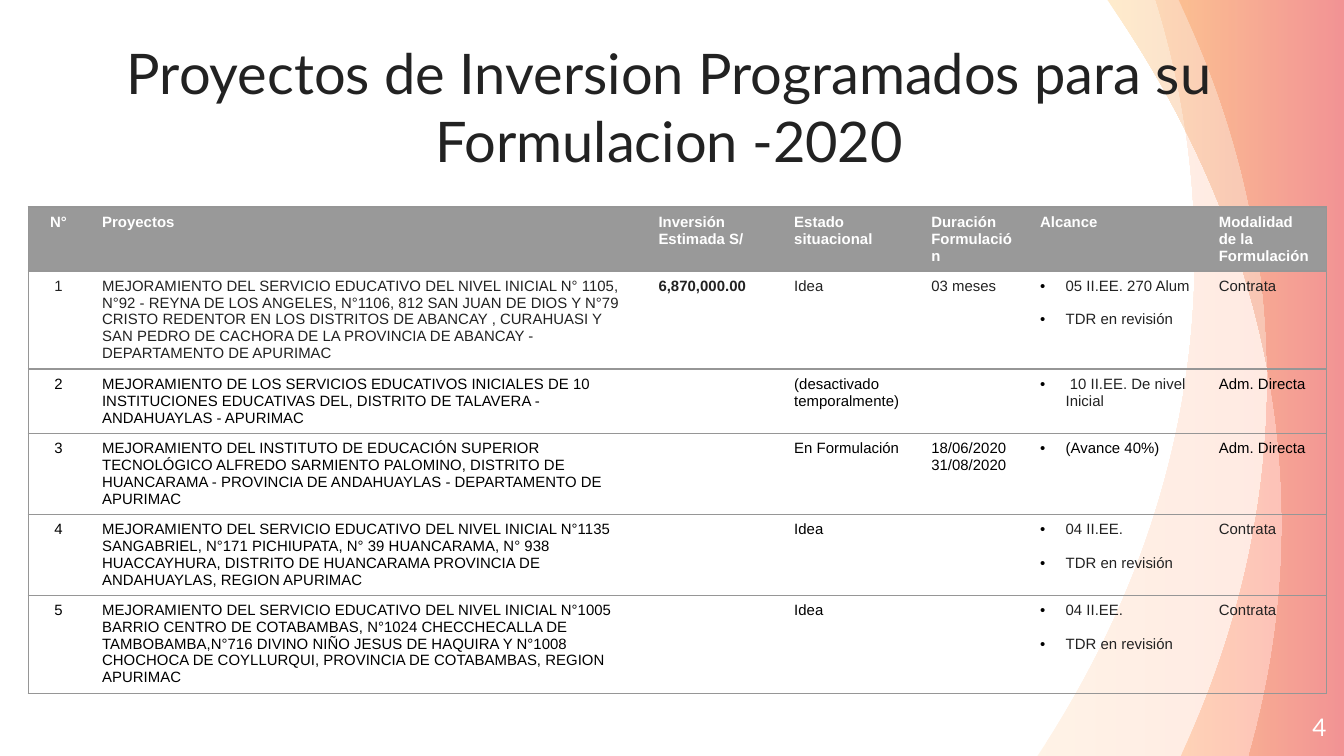
"""Build the slide of investment projects programmed for formulation in 2020."""
from dataclasses import dataclass

from lxml.etree import SubElement
from pptx import Presentation
from pptx.dml.color import RGBColor
from pptx.enum.text import MSO_ANCHOR, MSO_AUTO_SIZE, PP_ALIGN
from pptx.oxml.ns import qn
from pptx.util import Inches, Pt


@dataclass(frozen=True)
class Theme:
    ink: str = "222222"
    black: str = "000000"
    white: str = "FFFFFF"
    header: str = "999999"
    rule: str = "969696"
    display: str = "Lato"
    body: str = "Arial"
    title_size: float = 30
    number_size: float = 13
    table_size: float = 8
    rule_width: float = 0.75
    wave_opacity: int = 20


THEME = Theme()
WIDTH, HEIGHT = 10, 5.625
NO_TABLE_STYLE = "{2D5ABB26-0587-4C30-8999-92F81FD0307C}"

TITLE = "Proyectos de Inversion Programados para su Formulacion -2020"
PAGE_NUMBER = "4"
HEADINGS = ["N°", "Proyectos", "Inversión Estimada S/", "Estado situacional",
            "Duración Formulación", "Alcance", "Modalidad de la Formulación"]
PROJECTS = [
    ["MEJORAMIENTO DEL SERVICIO EDUCATIVO DEL NIVEL INICIAL N° 1105, N°92 - REYNA DE LOS ANGELES, "
     "N°1106, 812 SAN JUAN DE DIOS Y N°79 CRISTO REDENTOR EN LOS DISTRITOS DE ABANCAY , CURAHUASI Y "
     "SAN PEDRO DE CACHORA DE LA PROVINCIA DE ABANCAY - DEPARTAMENTO DE APURIMAC",
     "6,870,000.00", "Idea", "03 meses", "05 II.EE. 270 Alum\nTDR en revisión", "Contrata"],
    ["MEJORAMIENTO DE LOS SERVICIOS EDUCATIVOS INICIALES DE 10 INSTITUCIONES EDUCATIVAS DEL, "
     "DISTRITO DE TALAVERA - ANDAHUAYLAS - APURIMAC",
     "", "(desactivado temporalmente)", "", " 10 II.EE. De nivel Inicial", "Adm. Directa"],
    ["MEJORAMIENTO DEL INSTITUTO DE EDUCACIÓN SUPERIOR TECNOLÓGICO ALFREDO SARMIENTO PALOMINO, "
     "DISTRITO DE HUANCARAMA - PROVINCIA DE ANDAHUAYLAS - DEPARTAMENTO DE APURIMAC",
     "", "En Formulación", "18/06/2020\n31/08/2020", "(Avance 40%)", "Adm. Directa"],
    ["MEJORAMIENTO DEL SERVICIO EDUCATIVO DEL NIVEL INICIAL N°1135 SANGABRIEL, N°171 PICHIUPATA, "
     "N° 39 HUANCARAMA, N° 938 HUACCAYHURA, DISTRITO DE HUANCARAMA PROVINCIA DE ANDAHUAYLAS, "
     "REGION APURIMAC",
     "", "Idea", "", "04 II.EE.\nTDR en revisión", "Contrata"],
    ["MEJORAMIENTO DEL SERVICIO EDUCATIVO DEL NIVEL INICIAL N°1005 BARRIO CENTRO DE COTABAMBAS, "
     "N°1024 CHECCHECALLA DE TAMBOBAMBA,N°716 DIVINO NIÑO JESUS DE HAQUIRA Y N°1008 CHOCHOCA DE "
     "COYLLURQUI, PROVINCIA DE COTABAMBAS, REGION APURIMAC",
     "", "Idea", "", "04 II.EE.\nTDR en revisión", "Contrata"],
]
NUMBER, INVESTMENT, SCOPE, MODE = 0, 2, 5, 6
DARK_CELLS = {1: range(7), 2: [SCOPE], 4: [SCOPE, MODE], 5: [SCOPE, MODE]}
COLUMNS = [0.45, 4.14, 1.01, 1.02, 0.81, 1.33, 0.9]
ROWS = [0.47, 0.73, 0.48, 0.6, 0.6, 0.73]

WAVES = [
    {"colours": ("FFC486", "FF866B"),
     "corners": [(8.6, 0), (10, 0), (10, 5.64), (7.71, 5.64)],
     "curves": [[(8.47, 4.5), (8.89, 3.23), (8.89, 1.9)],
                [(8.89, 1.25), (8.79, 0.61), (8.6, 0)]]},
    {"colours": ("FF6A00", "F20122"),
     "corners": [(8.77, 0), (10, 0), (10, 5.64), (8.78, 5.64)],
     "curves": [[(9.2, 4.75), (9.43, 3.8), (9.43, 2.82)],
                [(9.43, 1.84), (9.2, 0.89), (8.77, 0)]]},
    {"colours": ("FF9F00", "CC0000"),
     "corners": [(8.24, 0), (10, 0), (10, 5.64), (9.29, 5.64)],
     "curves": [[(9.45, 5.08), (9.54, 4.5), (9.54, 3.9)],
                [(9.54, 2.51), (9.07, 1.19), (8.24, 0)]]},
]


def colour(code):
    return RGBColor.from_string(code)


def style(paragraph, face, size, code, align=PP_ALIGN.LEFT, bold=False):
    paragraph.alignment = align
    font = paragraph.font
    font.name, font.size, font.bold = face, Pt(size), bold
    font.color.rgb = colour(code)


def place(shape, left, top, width, height):
    shape.left, shape.top = Inches(left), Inches(top)
    shape.width, shape.height = Inches(width), Inches(height)


def set_frame(frame, text, anchor):
    frame.text = text
    frame.word_wrap = True
    frame.auto_size = MSO_AUTO_SIZE.NONE
    frame.vertical_anchor = anchor
    frame.margin_left = frame.margin_right = frame.margin_top = frame.margin_bottom = 0


def bend(wave, first_segment, curve_count):
    segments = list(wave._element.iter(qn("a:lnTo")))[first_segment:]
    for index in range(curve_count):
        first, *others = segments[3 * index:3 * index + 3]
        first.tag = qn("a:cubicBezTo")
        for segment in others:
            first.append(segment[0])
            segment.getparent().remove(segment)


def add_wave(slide, colours, corners, curves):
    points = [(Inches(x), Inches(y)) for x, y in corners + sum(curves, [])]
    builder = slide.shapes.build_freeform(*points[0])
    builder.add_line_segments(points[1:], close=True)
    wave = builder.convert_to_shape()
    curved = [segment for segment in wave._element.iter(qn("a:lnTo"))][len(corners) - 1:]
    for start in range(0, 3 * len(curves), 3):
        first, *others = curved[start:start + 3]
        bezier = first.makeelement(qn("a:cubicBezTo"))
        first.addprevious(bezier)
        for segment in (first, *others):
            bezier.append(segment[0])
            segment.getparent().remove(segment)
    wave.shadow.inherit = False
    wave.line.fill.background()
    wave.fill.gradient()
    wave.fill.gradient_angle = 0
    for stop, position, code in zip(wave.fill.gradient_stops, (0, 1), colours):
        stop.position = position
        stop.color.rgb = colour(code)
    for tint in wave._element.spPr.iter(qn("a:srgbClr")):
        SubElement(tint, qn("a:alpha"), val=str(THEME.wave_opacity * 1000))


def add_bullet(paragraph):
    properties = paragraph._p.get_or_add_pPr()
    properties.set("marL", str(Inches(0.19)))
    properties.set("indent", str(-Inches(0.19)))
    SubElement(SubElement(properties, qn("a:buClr")), qn("a:srgbClr"), val=THEME.black)
    SubElement(properties, qn("a:buFont"), typeface=THEME.body)
    SubElement(properties, qn("a:buChar"), char="•")


def add_borders(cell, sides):
    properties = cell._tc.get_or_add_tcPr()
    for side in sides:
        line = SubElement(properties, qn(f"a:ln{side}"), w=str(Pt(THEME.rule_width)))
        SubElement(SubElement(line, qn("a:solidFill")), qn("a:srgbClr"), val=THEME.rule)


def fill_cell(cell, text, row, column):
    heading = row == 0
    left_side = "L" if column == 0 else ""
    right_side = "R" if column == len(COLUMNS) - 1 else ""
    add_borders(cell, left_side + right_side + "TB")
    if heading:
        cell.fill.solid()
        cell.fill.fore_color.rgb = colour(THEME.header)
        code = THEME.white
    else:
        cell.fill.background()
        code = THEME.ink if column in DARK_CELLS.get(row, ()) else THEME.black
    cell.text = text
    for index, paragraph in enumerate(cell.text_frame.paragraphs):
        if column == SCOPE and not heading:
            if index:
                paragraph.space_before = Pt(9)
            add_bullet(paragraph)
        style(paragraph, THEME.body, THEME.table_size, code,
              PP_ALIGN.CENTER if column == NUMBER else PP_ALIGN.LEFT,
              heading or column == INVESTMENT)


def add_projects(slide):
    content = [HEADINGS] + [[str(n), *project] for n, project in enumerate(PROJECTS, 1)]
    table = slide.shapes.add_table(len(ROWS), len(COLUMNS), Inches(0.21), Inches(1.54),
                                   Inches(sum(COLUMNS)), Inches(sum(ROWS))).table
    table.horz_banding = False
    table._tbl.tblPr.find(qn("a:tableStyleId")).text = NO_TABLE_STYLE
    for column, width in zip(table.columns, COLUMNS):
        column.width = Inches(width)
    for r, (height, texts) in enumerate(zip(ROWS, content)):
        table.rows[r].height = Inches(height)
        for c, text in enumerate(texts):
            fill_cell(table.cell(r, c), text, r, c)


def main():
    deck = Presentation()
    deck.slide_width, deck.slide_height = Inches(WIDTH), Inches(HEIGHT)
    slide = deck.slides.add_slide(deck.slide_layouts[5])
    for wave in WAVES:
        add_wave(slide, **wave)

    title = slide.shapes.title
    slide.shapes._spTree.append(title._element)
    place(title, 0.65, 0.33, 8.66, 0.96)
    set_frame(title.text_frame, TITLE, MSO_ANCHOR.BOTTOM)
    style(title.text_frame.paragraphs[0], THEME.display, THEME.title_size, THEME.ink, PP_ALIGN.CENTER)

    number = slide.shapes.add_textbox(Inches(9.27), Inches(5.19), Inches(0.6), Inches(0.43))
    set_frame(number.text_frame, PAGE_NUMBER, MSO_ANCHOR.MIDDLE)
    style(number.text_frame.paragraphs[0], THEME.display, THEME.number_size, THEME.white, PP_ALIGN.RIGHT)

    add_projects(slide)
    deck.save("out.pptx")


if __name__ == "__main__":
    main()
